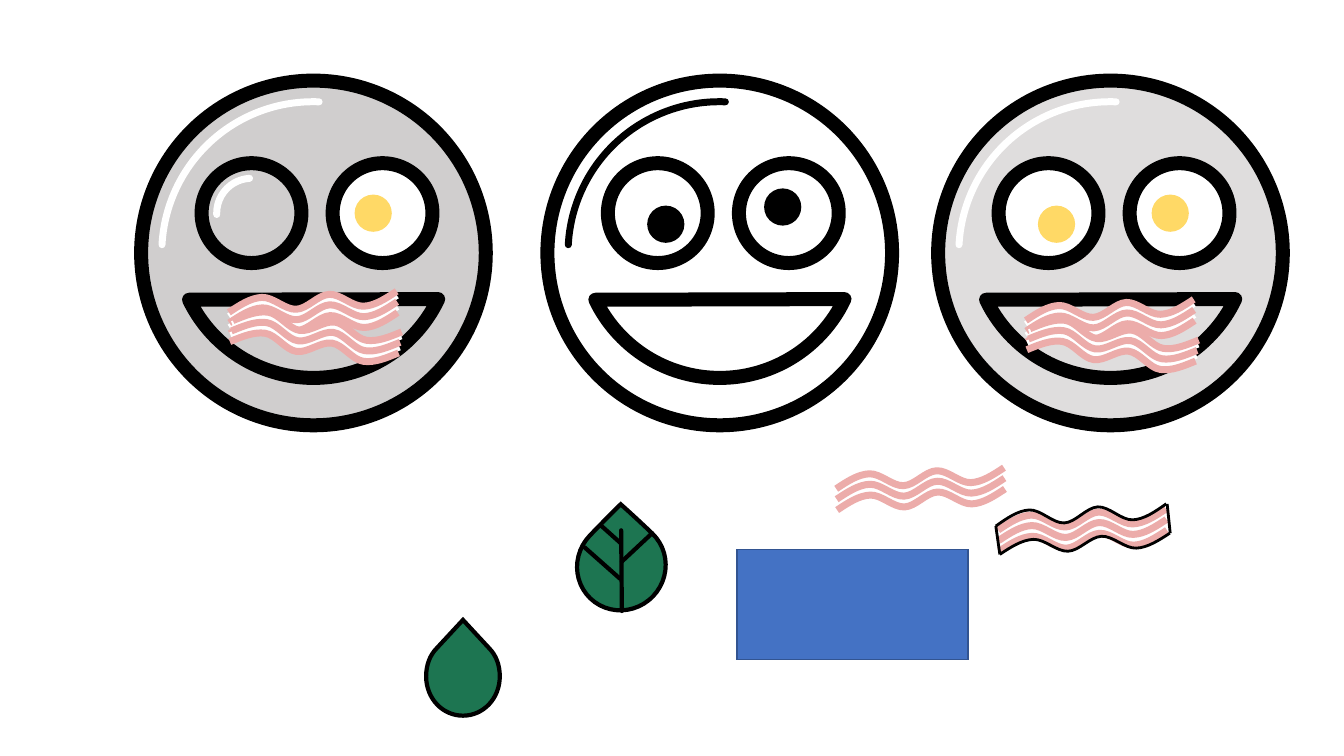
from math import cos, radians, sin

from lxml.etree import SubElement
from pptx import Presentation
from pptx.dml.color import RGBColor
from pptx.enum.shapes import MSO_CONNECTOR, MSO_SHAPE
from pptx.oxml.ns import qn
from pptx.util import Pt

BLACK, WHITE, PINK, YOLK, GREEN = "000000", "FFFFFF", "ECACAA", "FFD966", "1D7551"
FACE, EYE, PUPIL, SHINE = 246.2, 71.3, 26.6, 216
WAVE_HEIGHTS = [0, .5, 1, 1, 1, 0, 0, 0, 1, 1, 1, 0, 0, 0, .5, 1]
WAVE_WIDTH, WAVE_RISE = 120.4, 9.6
UPWARD, DOWNWARD = -2.6, 8.4


def color(target, value):
    target.rgb = RGBColor.from_string(value)


def outline(shape, value, width, join="round", cap="flat"):
    """Give a shape or connector its line."""
    if value is None:
        shape.line.fill.background()
        return
    color(shape.line.color, value)
    shape.line.width = Pt(width)
    border = shape.line._get_or_add_ln()
    border.set("cap", cap)
    corner = SubElement(border, qn("a:" + join))
    if join == "miter":
        corner.set("lim", "800000")


def dress(shape, fill=None, line=None, width=1, join="round", cap="flat", **values):
    """Set fill, line and any further shape values."""
    shape.shadow.inherit = False
    if fill:
        shape.fill.solid()
        color(shape.fill.fore_color, fill)
    else:
        shape.fill.background()
    outline(shape, line, width, join, cap)
    for name, value in values.items():
        setattr(shape, name, value)


def preset(shapes, kind, box, adjustments=(), **style):
    shape = shapes.add_shape(kind, *[Pt(length) for length in box])
    for index, value in enumerate(adjustments):
        shape.adjustments[index] = value
    dress(shape, **style)


def straight(shapes, start, end, width, cap="flat"):
    line = shapes.add_connector(MSO_CONNECTOR.STRAIGHT, *[Pt(v) for v in (*start, *end)])
    outline(line, BLACK, width, cap=cap)
    SubElement(line._element.spPr, qn("a:effectLst"))


def curved_shape(shapes, points, closed=False, **style):
    """Draw a chain of cubic curves: a start, then three points per curve."""
    places = [(Pt(x), Pt(y)) for x, y in points]
    builder = shapes.build_freeform(*places[0], scale=1.0)
    builder.add_line_segments(places[1:], close=False)
    shape = builder.convert_to_shape()
    track = next(shape._element.iter(qn("a:path")))
    segments = track.findall(qn("a:lnTo"))
    for first in range(0, len(segments), 3):
        curve = SubElement(track, qn("a:cubicBezTo"))
        for segment in segments[first:first + 3]:
            curve.append(segment[0])
            track.remove(segment)
    if closed:
        SubElement(track, qn("a:close"))
    dress(shape, **style)


def wave(shapes, left, top, tilt, line, width, offset=0, length=WAVE_WIDTH, rise=WAVE_RISE):
    """Draw one wavy line, turned about its start."""
    turn, last = radians(tilt), len(WAVE_HEIGHTS) - 1
    points = []
    for index, height in enumerate(WAVE_HEIGHTS):
        x, y = length * index / last, offset - rise * height
        points.append((left + x * cos(turn) - y * sin(turn),
                       top + x * sin(turn) + y * cos(turn)))
    curved_shape(shapes, points, line=line, width=width)


def bacon(page, left, top, tilt=UPWARD):
    strip = page.shapes.add_group_shape().shapes
    for line, offsets in ((WHITE, (0, -8)), (PINK, (-3.4, -10.9, 4.3))):
        for offset in offsets:
            wave(strip, left, top, tilt, line, 5, offset)


def outlined_bacon(page, left, top):
    bacon(page, left, top)
    shapes = page.shapes
    wave(shapes, left + .7, top + 6.5, UPWARD, BLACK, 2, length=122, rise=9.6)
    wave(shapes, left - 2.2, top - 13.7, UPWARD, BLACK, 2, length=122.4, rise=10.4)
    straight(shapes, (left - 2.2, top - 13.7), (left + .7, top + 6.5), 2)
    straight(shapes, (left + 120.2, top - 29.5), (left + 122.4, top - 8.6), 2)


def face(page, left, top, skin, eye_fills, pupils, pupil_fill, shine, glint=False, bacon_top=None):
    """Draw a face; pupils are offsets from its top left corner."""
    shapes = page.shapes
    thick = {"line": BLACK, "width": 10}
    preset(shapes, MSO_SHAPE.OVAL, (left, top, FACE, FACE), fill=skin, **thick)
    # Mouth
    preset(shapes, MSO_SHAPE.CHORD, (left + 24.5, top + 15.1, 197.3, 197.3),
           (15.253, 92.568), fill=skin, **thick)
    # Shine on the head
    preset(shapes, MSO_SHAPE.ARC, (left + 14.8, top + 15.1, SHINE, SHINE),
           (109.862, 163.391), line=shine, width=5, cap="rnd")
    # Eyes
    for x, fill in zip((43.2, 136.8), eye_fills):
        preset(shapes, MSO_SHAPE.OVAL, (left + x, top + 59, EYE, EYE), fill=fill, **thick)
    if glint:
        preset(shapes, MSO_SHAPE.ARC, (left + 54, top + 69.8, 49.7, 49.7),
               (106.61, 160.14), line=shine, width=5, cap="rnd")
    for x, y in pupils:
        preset(shapes, MSO_SHAPE.OVAL, (left + x, top + y, PUPIL, PUPIL), fill=pupil_fill)
    # Bacon smile
    if bacon_top is not None:
        bacon(page, left + 63.2, top + bacon_top)
        bacon(page, left + 64, top + bacon_top + 5.8, DOWNWARD)


def veined_leaf(page, left, top):
    leaf = page.shapes.add_group_shape().shapes
    preset(leaf, MSO_SHAPE.TEAR, (left, top, 64.1, 62.6), (.984,), fill=GREEN,
           line=BLACK, width=3, join="miter", rotation=313.7)
    veins = [((17.3, 2.2), (31.7, 15.1)), ((5.8, 18), (31, 40.3)),
             ((32.4, 63.4), (31.9, 5.8)), ((32.4, 28.1), (54, 7.9))]
    for start, end in veins:
        straight(leaf, (left + start[0], top + start[1]), (left + end[0], top + end[1]), 3, "rnd")


def plain_leaf(page, left, top, width=52.6):
    tip, shoulder = (width / 2, 0), (45, 20.2)
    half = [tip, tip, shoulder, shoulder, (50, 25.2), (width, 32.4), (width, 40.3),
            (width, 56.2), (40.8, 68.4), (width / 2, 68.4)]
    mirrored = [(width - x, y) for x, y in reversed(half[:-1])]
    points = [(left + x, top + y) for x, y in half + mirrored]
    curved_shape(page.shapes, points, closed=True, fill=GREEN, line=BLACK, width=3, join="miter")


deck = Presentation()
deck.slide_width, deck.slide_height = Pt(960), Pt(540)
page = deck.slides.add_slide(deck.slide_layouts[6])

# Blue block
preset(page.shapes, MSO_SHAPE.RECTANGLE, (526.5, 392.4, 165, 78.5),
       fill="4472C4", line="325491", join="miter")

# Faces
low_left, level_right, high_right = (71.3, 89.3), (152.5, 81.4), (154.8, 77)
face(page, 100.8, 57.6, "D0CECE", ("D0CECE", WHITE), [level_right], YOLK, WHITE,
     glint=True, bacon_top=176.4)
face(page, 391, 57.6, None, (None, None), [low_left, high_right], BLACK, BLACK)
face(page, 670.1, 57.6, "DFDDDD", (WHITE, WHITE), [low_left, level_right], YOLK, WHITE,
     bacon_top=182.2)

# Loose bacon
bacon(page, 597.8, 360)
outlined_bacon(page, 713.5, 389.5)

# Leaves
veined_leaf(page, 411.8, 373)
plain_leaf(page, 304.4, 442.8)

deck.save("out.pptx")
